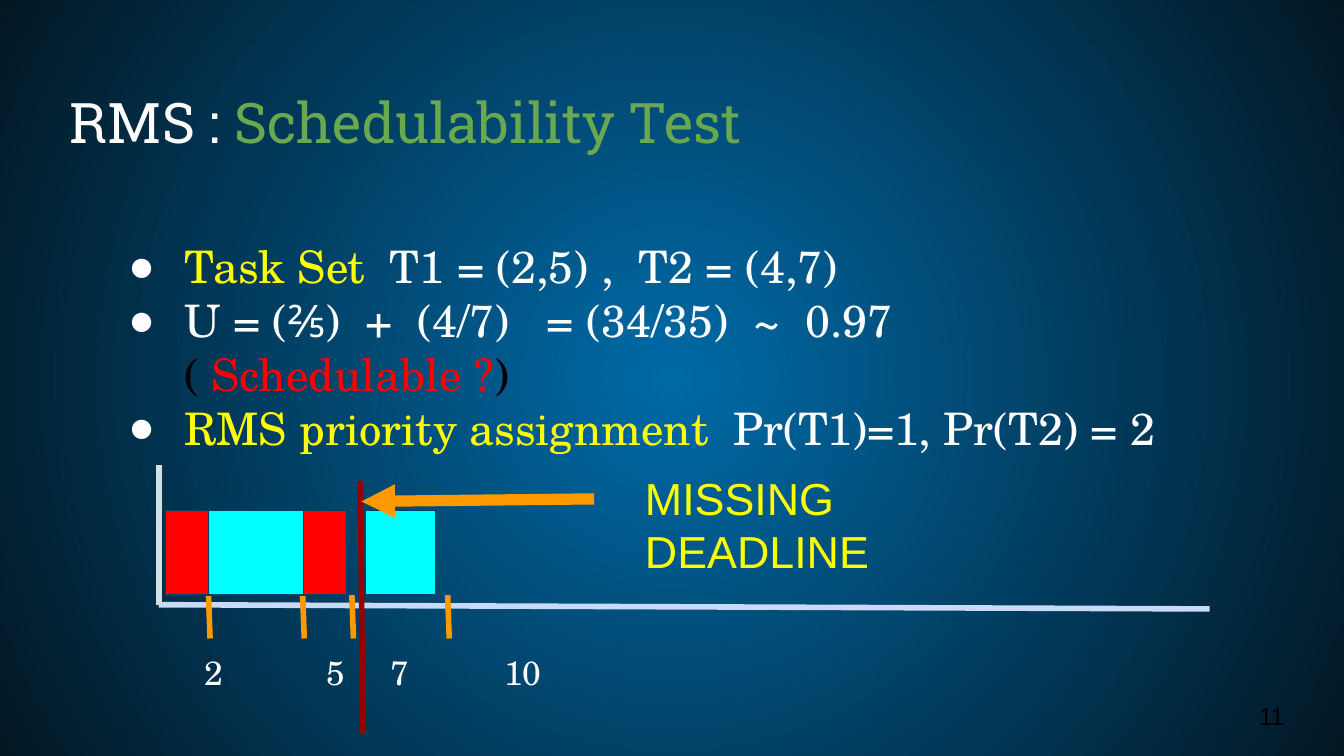
from dataclasses import dataclass

from lxml import etree
from pptx import Presentation
from pptx.dml.color import RGBColor
from pptx.enum.shapes import MSO_CONNECTOR, MSO_SHAPE
from pptx.enum.text import MSO_ANCHOR, MSO_AUTO_SIZE, PP_ALIGN
from pptx.oxml.ns import qn
from pptx.util import Cm, Pt

STRAIGHT = MSO_CONNECTOR.STRAIGHT
RECTANGLE = MSO_SHAPE.RECTANGLE
TOP, BOTTOM = MSO_ANCHOR.TOP, MSO_ANCHOR.BOTTOM
NO_AUTOFIT = MSO_AUTO_SIZE.NONE
LEFT, RIGHT = PP_ALIGN.LEFT, PP_ALIGN.RIGHT


@dataclass(frozen=True)
class Theme:
    """Colours, fonts and type sizes of the slide."""
    centre: str = "006AA7"
    edge: str = "021723"
    white: str = "FFFFFF"
    black: str = "000000"
    green: str = "6AA84F"
    yellow: str = "FFFF00"
    red: str = "FF0000"
    cyan: str = "00FFFF"
    orange: str = "FF9900"
    deadline: str = "980000"
    outline: str = "004065"
    vertical_axis: str = "D0E0E3"
    time_axis: str = "C9DAF8"
    title_font: str = "Roboto Slab"
    body_font: str = "TeX Gyre Schola"
    plain_font: str = "Arial"
    title_size: int = 30
    body_size: int = 24
    label_size: int = 18
    number_size: int = 13


THEME = Theme()


def colour(value):
    """Turn a hex string into a colour."""
    return RGBColor.from_string(value)


def add_element(parent, tag, **attributes):
    """Append an XML element with the given attributes."""
    element = etree.SubElement(parent, qn(tag))
    for name, value in attributes.items():
        element.set(name, str(value))
    return element


def write(shape, paragraphs, *, font, size, anchor=TOP, align=LEFT, bullet=None, tabs=()):
    """Fill a shape with paragraphs, each a list of (text, colour) runs."""
    frame = shape.text_frame
    frame.word_wrap = True
    frame.auto_size = NO_AUTOFIT
    frame.vertical_anchor = anchor
    frame.margin_left = frame.margin_right = Cm(0.25)
    frame.margin_top = frame.margin_bottom = Cm(0.25)
    for index, runs in enumerate(paragraphs):
        paragraph = frame.add_paragraph() if index else frame.paragraphs[0]
        paragraph.alignment = align
        paragraph.space_before = Pt(0)
        properties = paragraph._p.get_or_add_pPr()
        if bullet:
            properties.set("marL", str(Cm(1.27)))
            properties.set("indent", str(-Cm(1.06)))
            add_element(add_element(properties, "a:buClr"), "a:srgbClr", val=THEME.white)
            add_element(properties, "a:buChar", char=bullet)
        if tabs:
            stops = add_element(properties, "a:tabLst")
            for position in tabs:
                add_element(stops, "a:tab", pos=Cm(position), algn="l")
        for text, run_colour in runs:
            run = paragraph.add_run()
            run.text = text
            run.font.name = font
            run.font.size = Pt(size)
            run.font.color.rgb = colour(run_colour)


def place(shape, box):
    """Move a placeholder to a box given in centimetres."""
    shape.left, shape.top, shape.width, shape.height = map(Cm, box)


def add_text(slide, box, paragraphs, **text_format):
    """Add a text box with formatted text."""
    write(slide.shapes.add_textbox(*map(Cm, box)), paragraphs, **text_format)


def add_line(slide, start, end, line_colour, width=3, arrow=False):
    """Add a straight line, with an arrowhead at its end if asked."""
    line = slide.shapes.add_connector(STRAIGHT, *map(Cm, (*start, *end)))
    line.line.color.rgb = colour(line_colour)
    line.line.width = Pt(width)
    if arrow:
        outline = line._element.spPr.find(qn("a:ln"))
        add_element(outline, "a:tailEnd", type="triangle")
    add_element(line._element.spPr, "a:effectLst")


def add_bar(slide, box, fill_colour):
    """Add one execution slot of a task."""
    bar = slide.shapes.add_shape(RECTANGLE, *map(Cm, box))
    bar.shadow.inherit = False
    bar.fill.solid()
    bar.fill.fore_color.rgb = colour(fill_colour)
    bar.line.color.rgb = colour(THEME.outline)
    bar.line.width = Pt(0.75)


def paint_background(slide):
    """Give the slide a round gradient from its centre outwards."""
    fill = slide.background.fill
    fill.gradient()
    for stop, value in zip(fill.gradient_stops, (THEME.centre, THEME.edge)):
        stop.color.rgb = colour(value)
    gradient = slide._element.find(".//" + qn("a:gradFill"))
    gradient.remove(gradient.find(qn("a:lin")))
    circle = etree.SubElement(gradient, qn("a:path"), {"path": "circle"})
    add_element(circle, "a:fillToRect", l=50000, t=50000, r=50000, b=50000)


def build_title(slide, box):
    """Write the slide title."""
    title = slide.shapes.title
    place(title, box)
    write(title, [[("RMS : ", THEME.white), ("Schedulability Test", THEME.green)]],
          font=THEME.title_font, size=THEME.title_size, anchor=BOTTOM)


def build_body(slide, box):
    """Write the bulleted task analysis."""
    body = slide.placeholders[1]
    place(body, box)
    write(body, [
        [("Task Set  ", THEME.yellow), ("T1 = (2,5) ,  T2 = (4,7)", THEME.white)],
        [("U = (⅖)  +  (4/7)   = (34/35)  ~  0.97 ", THEME.white), ("(", THEME.black),
         (" Schedulable ?", THEME.red), (")", THEME.black)],
        [("RMS priority assignment ", THEME.yellow),
         (" Pr(T1)=1, Pr(T2) = 2", THEME.white)],
    ], font=THEME.body_font, size=THEME.body_size, bullet="●")


def build_schedule(slide, box):
    """Draw the timeline with its task slots and the missed deadline."""
    left, top, width, height = box
    base = top + 2.64
    add_line(slide, (left, top), (left, base), THEME.vertical_axis)
    add_line(slide, (left + width, base + 0.08), (left, base), THEME.time_axis)
    for offset in (0.94, 2.72, 3.65, 5.46):
        add_line(slide, (left + offset, top + 2.46), (left + offset + 0.03, top + 3.28),
                 THEME.orange)
    for offset, length, fill_colour in (
            (0.13, 0.81, THEME.red), (0.94, 1.8, THEME.cyan),
            (2.74, 0.81, THEME.red), (3.91, 1.32, THEME.cyan)):
        add_bar(slide, (left + offset, top + 0.86, length, 1.6), fill_colour)
    add_text(slide, (left + 0.38, top + 3.28, 8.33, 0.81),
             [[("\t2\t5\t7\t10", THEME.white)]], font=THEME.body_font,
             size=THEME.label_size, tabs=(0.23, 2.54, 3.76, 5.9))
    add_line(slide, (left + 3.81, top + 0.3), (left + 3.86, top + height), THEME.deadline)
    add_line(slide, (left + 8.23, top + 0.64), (left + 3.83, top + 0.69),
             THEME.orange, width=6, arrow=True)
    add_text(slide, (left + 8.94, top - 0.15, 6.58, 1.42),
             [[("MISSING DEADLINE", THEME.yellow)]],
             font=THEME.plain_font, size=THEME.body_size)


def build_slide_number(slide, box):
    """Write the slide number."""
    add_text(slide, box, [[("11", THEME.black)]], font=THEME.plain_font,
             size=THEME.number_size, align=RIGHT)


def main():
    """Build and save the presentation."""
    presentation = Presentation()
    presentation.slide_width, presentation.slide_height = Cm(25.4), Cm(14.29)
    slide = presentation.slides.add_slide(presentation.slide_layouts[1])
    paint_background(slide)
    build_title(slide, (1.07, 1.27, 23.24, 1.91))
    build_body(slide, (1.96, 4.27, 20.35, 7.57))
    build_schedule(slide, (3, 8.79, 19.86, 5.08))
    build_slide_number(slide, (23, 13, 1.52, 1.02))
    presentation.save("out.pptx")


if __name__ == "__main__":
    main()
